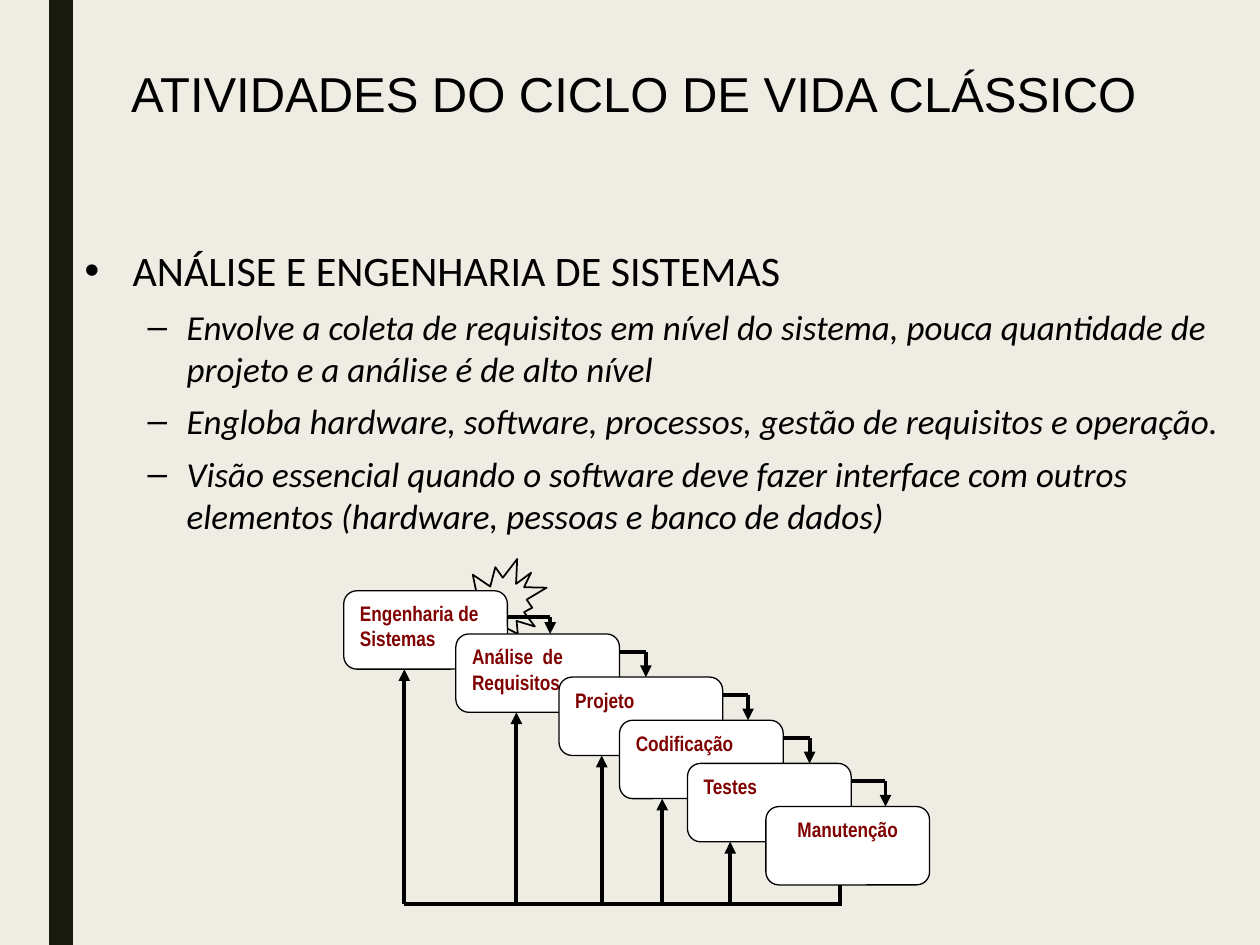
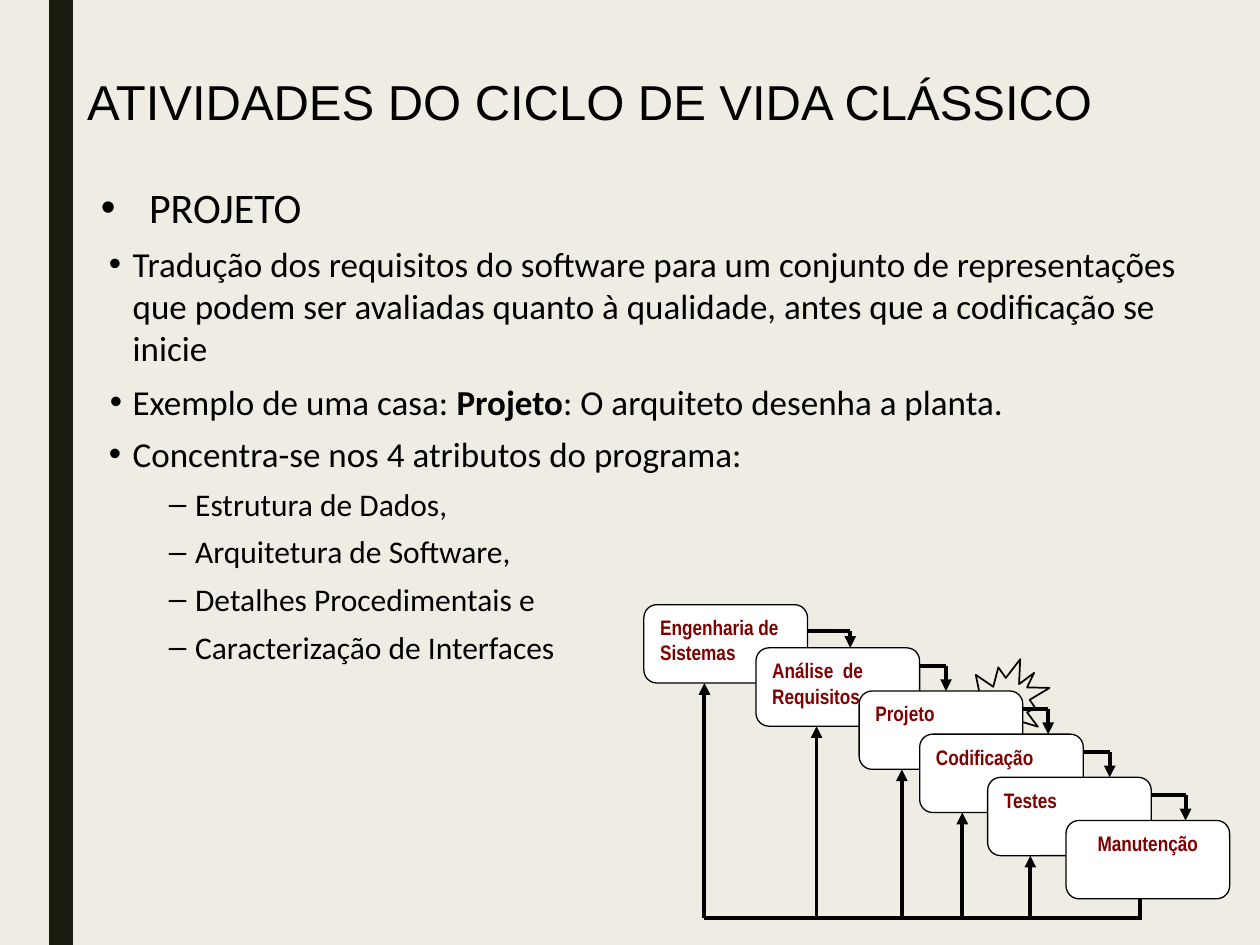
from dataclasses import dataclass

from lxml.etree import SubElement
from pptx import Presentation
from pptx.dml.color import RGBColor
from pptx.enum.shapes import MSO_CONNECTOR, MSO_SHAPE
from pptx.enum.text import MSO_ANCHOR as Anchor, MSO_AUTO_SIZE as AutoSize, PP_ALIGN as Align
from pptx.oxml.ns import qn
from pptx.util import Cm, Pt


@dataclass(frozen=True)
class Theme:
    paper: str = "EFEDE3"
    band: str = "191B0E"
    ink: str = "000000"
    white: str = "FFFFFF"
    label: str = "800000"
    title_font: str = "Arial"
    body_font: str = "Calibri"
    label_font: str = "Arial Narrow"
    title_size: int = 28
    head_size: int = 24
    text_size: int = 20
    item_size: int = 18
    label_size: int = 12
    arrow_line: float = 2.25
    box_line: float = 0.75
    burst_line: float = 1


T = Theme()
TITLE = "ATIVIDADES DO CICLO DE VIDA CLÁSSICO"

BULLETS = {
    "head": dict(level=0, left=0.97, hang=0.97, char="•", size=T.head_size, before=0),
    "note": dict(level=1, left=2.06, hang=0.79, char="–", size=T.text_size, before=6, italic=True),
    "point": dict(level=0, left=0.64, hang=0.48, char="•", size=T.text_size, before=6),
    "example": dict(level=0, left=0.64, hang=0.46, char="•", size=T.text_size, before=6.8),
    "item": dict(level=1, left=1.9, hang=0.53, char="–", size=T.item_size, before=5.6),
}

STEP_W, STEP_H, STEP_DROP = 3.3, 1.58, 0.87
BURST_SIZE, BASE_Y, EXIT_X = 1.88, 6.32, 1.5
STEPS = [
    ("Engenharia de Sistemas", 0),
    ("Análise  de Requisitos", 2.26),
    ("Projeto", 4.34),
    ("Codificação", 5.56),
    ("Testes", 6.93),
    ("Manutenção", 8.51),
]
LINKS = [(0.53, 0.86), (0.36, 0.53), (0.36, 0.51), (0.36, 0.53), (0.36, 0.69)]
RETURN_X = [1.22, 1.22, 0.86, 0.86, 0.86]


def rgb(value):
    return RGBColor.from_string(value)


def assign(obj, values):
    for name, value in values.items():
        setattr(obj, name, value)


def set_font(font, name, size, color=T.ink, **extra):
    assign(font, dict(name=name, size=Pt(size), **extra))
    font.color.rgb = rgb(color)


def place(sp, box):
    assign(sp, dict(zip(("left", "top", "width", "height"), map(Cm, box))))


def add_box(shapes, kind, box, fill=None, line=None):
    sp = shapes.add_shape(kind, *map(Cm, box))
    sp.shadow.inherit = False
    if fill:
        sp.fill.solid()
        sp.fill.fore_color.rgb = rgb(fill)
    else:
        sp.fill.background()
    if line:
        sp.line.color.rgb = rgb(T.ink)
        sp.line.width = Pt(line)
    else:
        sp.line.fill.background()
    return sp


def add_line(shapes, start, end, arrow=False):
    c = shapes.add_connector(MSO_CONNECTOR.STRAIGHT, *map(Cm, (*start, *end)))
    c.line.color.rgb = rgb(T.ink)
    c.line.width = Pt(T.arrow_line)
    if arrow:
        SubElement(c.line._get_or_add_ln(), qn("a:tailEnd"), type="triangle")
    SubElement(c.element.spPr, qn("a:effectLst"))


def set_bullet(p, left, hang, char):
    pPr = p._p.get_or_add_pPr()
    pPr.set("marL", str(Cm(left)))
    pPr.set("indent", str(-Cm(hang)))
    SubElement(SubElement(pPr, qn("a:buClr")), qn("a:srgbClr"), val=T.ink)
    SubElement(pPr, qn("a:buFont"), typeface="Arial")
    SubElement(pPr, qn("a:buChar"), char=char)


def fill_title(slide, box):
    sp = slide.shapes.title
    place(sp, box)
    tf = sp.text_frame
    assign(tf, dict(vertical_anchor=Anchor.MIDDLE, auto_size=AutoSize.NONE))
    p = tf.paragraphs[0]
    p.alignment = Align.LEFT
    r = p.add_run()
    r.text = TITLE
    set_font(r.font, T.title_font, T.title_size)


def fill_body(slide, box, lines):
    sp = slide.placeholders[1]
    place(sp, box)
    tf = sp.text_frame
    assign(tf, dict(vertical_anchor=Anchor.TOP, auto_size=AutoSize.NONE))
    for i, (kind, *parts) in enumerate(lines):
        p = tf.add_paragraph() if i else tf.paragraphs[0]
        b = BULLETS[kind]
        set_bullet(p, b["left"], b["hang"], b["char"])
        assign(p, dict(level=b["level"], space_before=Pt(b["before"]), alignment=Align.LEFT))
        for n, part in enumerate(parts):
            r = p.add_run()
            r.text = part
            set_font(r.font, T.body_font, b["size"], bold=n % 2 == 1, italic=b.get("italic", False))


def draw_step(shapes, text, x, y, align):
    sp = add_box(shapes, MSO_SHAPE.ROUNDED_RECTANGLE, (x, y, STEP_W, STEP_H), T.white, T.box_line)
    tf = sp.text_frame
    assign(tf, dict(word_wrap=True, vertical_anchor=Anchor.TOP))
    p = tf.paragraphs[0]
    p.alignment = align
    r = p.add_run()
    r.text = text
    set_font(r.font, T.label_font, T.label_size, T.label, bold=True)


def draw_waterfall(slide, left, top, current, burst_dx):
    shapes = slide.shapes.add_group_shape().shapes
    corners = [(left + x, top + i * STEP_DROP) for i, (_, x) in enumerate(STEPS)]
    base = top + BASE_Y
    last = len(STEPS) - 1

    x, y = corners[current]
    burst = (x + burst_dx, y - 0.64, BURST_SIZE, BURST_SIZE)
    add_box(shapes, MSO_SHAPE.EXPLOSION2, burst, line=T.burst_line)

    for i, ((text, _), (x, y)) in enumerate(zip(STEPS, corners)):
        draw_step(shapes, text, x, y, Align.CENTER if i == last else Align.LEFT)

    for (x, y), (_, next_y), (dy, run) in zip(corners, corners[1:], LINKS):
        start, turn = (x + STEP_W, y + dy), (x + STEP_W + run, y + dy)
        add_line(shapes, start, turn)
        add_line(shapes, turn, (turn[0], next_y), arrow=True)

    x, y = corners[last]
    add_line(shapes, (x + EXIT_X, y + STEP_H), (x + EXIT_X, base))
    add_line(shapes, (left + RETURN_X[0], base), (x + EXIT_X + 0.04, base))
    for (x, y), dx in zip(corners, RETURN_X):
        add_line(shapes, (x + dx, base), (x + dx, y + STEP_H), arrow=True)


def style_master(prs, slide):
    master = prs.slide_master
    fill = master.background.fill
    fill.solid()
    fill.fore_color.rgb = rgb(T.paper)
    band = add_box(slide.shapes, MSO_SHAPE.RECTANGLE, (0.99, 0, 0.48, 19.05), T.band)
    band.element.nvSpPr.cNvPr.set("id", "20")
    master.shapes.element.insert(2, band.element)


def analysis_slide(slide):
    fill_title(slide, (2.39, 0.97, 22.53, 1.8))
    fill_body(slide, (1.45, 4.8, 24.41, 15.11), [
        ("head", "ANÁLISE E ENGENHARIA DE SISTEMAS"),
        ("note", "Envolve a coleta de requisitos em nível do sistema, pouca quantidade de "
                 "projeto e a análise é de alto nível"),
        ("note", "Engloba hardware, software, processos, gestão de requisitos e operação."),
        ("note", "Visão essencial quando o software deve fazer interface com outros "
                 "elementos (hardware, pessoas e banco de dados)"),
    ])
    draw_waterfall(slide, 6.93, 11.91, current=0, burst_dx=2.21)


def design_slide(slide):
    fill_title(slide, (1.5, 1.14, 24.41, 1.8))
    fill_body(slide, (1.78, 3.53, 23.11, 14.71), [
        ("head", "PROJETO"),
        ("point", "Tradução dos requisitos do software para um conjunto de representações "
                  "que podem ser avaliadas quanto à qualidade, antes que a codificação se inicie"),
        ("example", "Exemplo de uma casa: ", "Projeto", ": O arquiteto desenha a planta."),
        ("point", "Concentra-se nos 4 atributos do programa:"),
        ("item", "Estrutura de Dados,"),
        ("item", "Arquitetura de Software,"),
        ("item", "Detalhes Procedimentais e"),
        ("item", "Caracterização de Interfaces"),
    ])
    draw_waterfall(slide, 12.98, 12.19, current=2, burst_dx=1.96)


def main():
    prs = Presentation()
    assign(prs, dict(slide_width=Cm(25.4), slide_height=Cm(19.05)))
    layout = prs.slide_layouts[1]
    analysis, design = (prs.slides.add_slide(layout) for _ in range(2))
    style_master(prs, analysis)
    analysis_slide(analysis)
    design_slide(design)
    prs.save("out.pptx")


if __name__ == "__main__":
    main()
